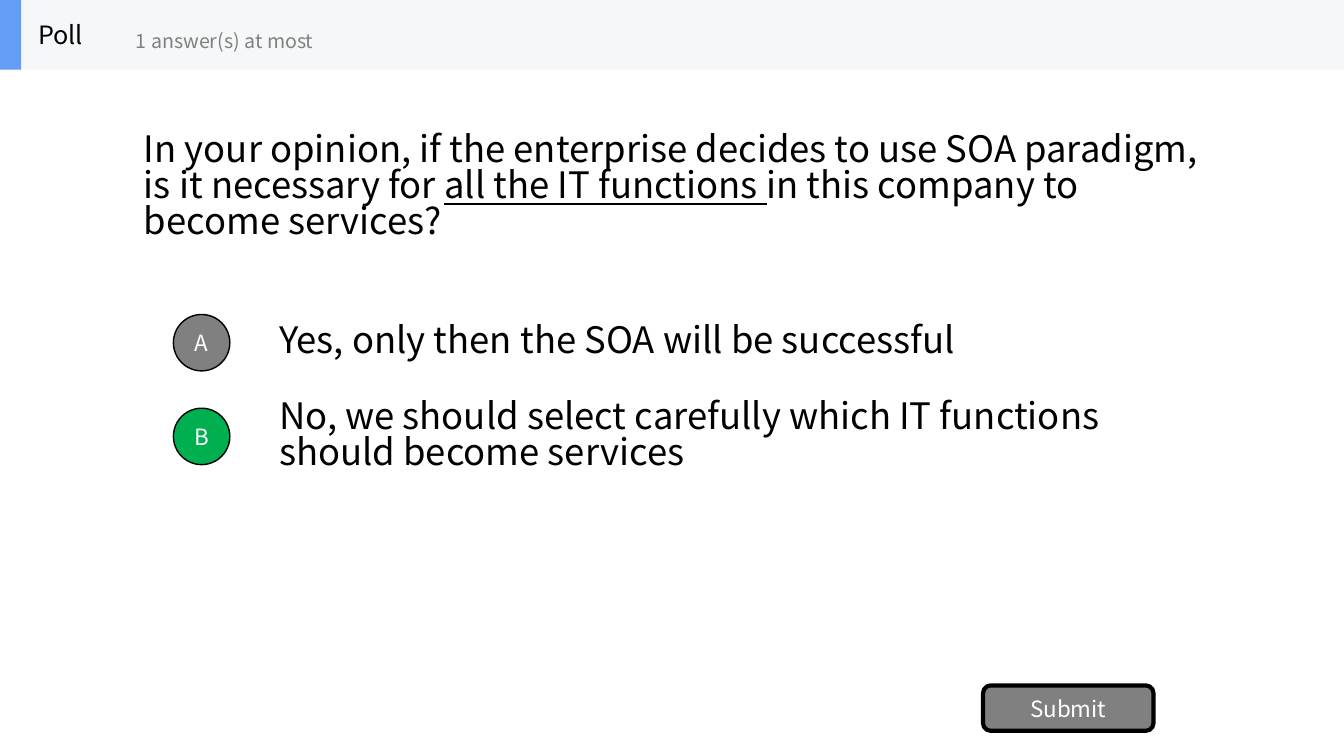
from dataclasses import dataclass

from pptx import Presentation
from pptx.dml.color import RGBColor
from pptx.enum.shapes import MSO_SHAPE
from pptx.enum.text import MSO_ANCHOR, PP_ALIGN
from pptx.shapes.autoshape import Shape
from pptx.util import Inches, Pt


@dataclass(frozen=True)
class Theme:
    """Font, type sizes and colours of the poll slide."""
    font: str = "Noto Sans CJK SC"
    body_size: int = 26
    title_size: int = 18
    button_size: int = 16
    hint_size: int = 14
    black: str = "000000"
    white: str = "FFFFFF"
    grey: str = "808080"
    green: str = "00B050"
    header: str = "F6F7F8"
    accent: str = "639EF4"


@dataclass(frozen=True)
class Box:
    """Position and size in inches."""
    left: float
    top: float
    width: float
    height: float

    def lengths(self) -> tuple:
        """Return the four values as slide lengths."""
        return tuple(Inches(v) for v in (self.left, self.top, self.width, self.height))


@dataclass(frozen=True)
class Answer:
    """One poll option."""
    letter: str
    text: str
    color: str


THEME = Theme()
SLIDE_WIDTH, SLIDE_HEIGHT = 13.33, 7.5
HEADER_HEIGHT = 0.69
ANSWER_TOP, ANSWER_PITCH, ANSWER_HEIGHT = 3.05, 0.93, 0.7
BADGE_SIZE = 0.56
BODY_SPACING = 0.83
QUESTION = (
    ("In your opinion, if the enterprise decides to use SOA paradigm, "
     "is it necessary for ", False),
    ("all the IT functions ", True),
    ("in this company to become services?", False),
)
ANSWERS = (
    Answer("A", "Yes, only then the SOA will be successful", THEME.grey),
    Answer("B", "No, we should select carefully which IT functions "
                "should become services", THEME.green),
)


def write_text(shape: Shape, *runs: tuple[str, bool], size: int, color: str = THEME.black,
               align: PP_ALIGN = PP_ALIGN.LEFT, wrap: bool = True,
               spacing: float | None = None) -> None:
    """Write (text, underlined) runs as one vertically centred paragraph."""
    frame = shape.text_frame
    frame.word_wrap = wrap
    frame.vertical_anchor = MSO_ANCHOR.MIDDLE
    paragraph = frame.paragraphs[0]
    paragraph.alignment = align
    if spacing:
        paragraph.line_spacing = spacing
    for text, underlined in runs:
        run = paragraph.add_run()
        run.text = text
        run.font.name = THEME.font
        run.font.size = Pt(size)
        run.font.color.rgb = RGBColor.from_string(color)
        if underlined:
            run.font.underline = True


def add_filled_shape(shapes, kind: MSO_SHAPE, box: Box, fill: str,
                     line_width: float = 0) -> Shape:
    """Add a solid preset shape, outlined in black if a line width is given."""
    shape = shapes.add_shape(kind, *box.lengths())
    shape.shadow.inherit = False
    shape.fill.solid()
    shape.fill.fore_color.rgb = RGBColor.from_string(fill)
    if line_width:
        shape.line.color.rgb = RGBColor.from_string(THEME.black)
        shape.line.width = Pt(line_width)
    else:
        shape.line.fill.background()
    return shape


def add_button(shapes, kind: MSO_SHAPE, box: Box, label: str, fill: str,
               line_width: float) -> None:
    """Add an outlined shape with a centred white label."""
    button = add_filled_shape(shapes, kind, box, fill, line_width)
    frame = button.text_frame
    frame.margin_left = frame.margin_right = Inches(0)
    frame.margin_top = frame.margin_bottom = Inches(0)
    write_text(button, (label, False), size=THEME.button_size, color=THEME.white,
               align=PP_ALIGN.CENTER)


def add_body_text(shapes, box: Box, *runs: tuple[str, bool]) -> None:
    """Add a text box in the body style."""
    write_text(shapes.add_textbox(*box.lengths()), *runs,
               size=THEME.body_size, spacing=BODY_SPACING)


def add_answer(shapes, index: int, answer: Answer) -> None:
    """Add an answer row: its text and its lettered badge."""
    top = ANSWER_TOP + index * ANSWER_PITCH
    badge_top = top + (ANSWER_HEIGHT - BADGE_SIZE) / 2
    add_body_text(shapes, Box(2.67, top, 9.33, ANSWER_HEIGHT), (answer.text, False))
    add_button(shapes, MSO_SHAPE.OVAL, Box(1.72, badge_top, BADGE_SIZE, BADGE_SIZE),
               answer.letter, answer.color, line_width=1)


def add_header(shapes) -> None:
    """Add the grouped header band with title and hint."""
    header = shapes.add_group_shape().shapes
    for width, fill in ((SLIDE_WIDTH, THEME.header), (0.21, THEME.accent)):
        add_filled_shape(header, MSO_SHAPE.RECTANGLE, Box(0, 0, width, HEADER_HEIGHT), fill)
    title = header.add_textbox(*Box(0.28, 0, 2.08, HEADER_HEIGHT).lengths())
    write_text(title, ("Poll", False), size=THEME.title_size, wrap=False)
    hint = header.add_textbox(*Box(1.25, 0.12, 2.5, 0.56).lengths())
    write_text(hint, ("1 answer(s) at most", False), size=THEME.hint_size,
               color=THEME.grey, wrap=False)


def main() -> None:
    """Build and save the poll slide."""
    presentation = Presentation()
    presentation.slide_width = Inches(SLIDE_WIDTH)
    presentation.slide_height = Inches(SLIDE_HEIGHT)
    slide = presentation.slides.add_slide(presentation.slide_layouts[6])
    shapes = slide.shapes
    add_body_text(shapes, Box(1.33, HEADER_HEIGHT, 10.67, 2.34), *QUESTION)
    for index, answer in enumerate(ANSWERS):
        add_answer(shapes, index, answer)
    add_button(shapes, MSO_SHAPE.ROUNDED_RECTANGLE, Box(9.75, 6.8, 1.69, 0.45),
               "Submit", THEME.grey, line_width=3)
    add_header(shapes)
    presentation.save("out.pptx")


main()
